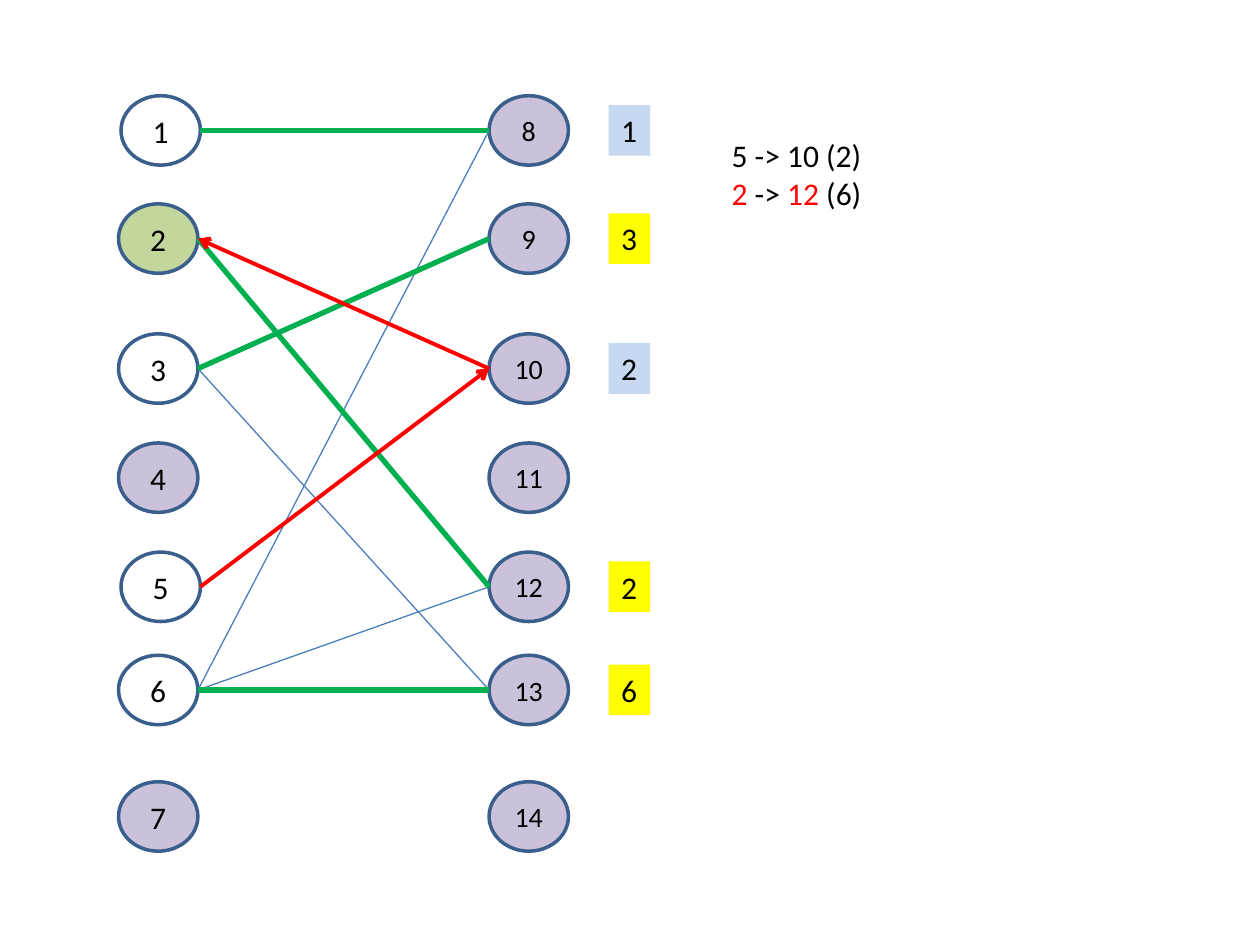
from lxml.etree import SubElement
from pptx import Presentation
from pptx.dml.color import RGBColor
from pptx.enum.shapes import MSO_CONNECTOR as Connector, MSO_SHAPE as Shape
from pptx.enum.text import MSO_ANCHOR as Anchor, MSO_AUTO_SIZE as AutoSize, PP_ALIGN as Align
from pptx.oxml.ns import qn
from pptx.util import Cm, Pt

WHITE = RGBColor(0xFF, 0xFF, 0xFF)
BLACK = RGBColor(0x00, 0x00, 0x00)
LILAC = RGBColor(0xCC, 0xC1, 0xDA)
OLIVE = RGBColor(0xC3, 0xD6, 0x9B)
OUTLINE = RGBColor(0x3A, 0x5F, 0x8C)
BLUE = RGBColor(0x4B, 0x7E, 0xBC)
GREEN = RGBColor(0x00, 0xB0, 0x50)
RED = RGBColor(0xFF, 0x00, 0x00)
PALE_BLUE = RGBColor(0xC6, 0xD9, 0xF1)
YELLOW = RGBColor(0xFF, 0xFF, 0x00)

NODE_WIDTH, NODE_HEIGHT = 1.6, 1.4
TAG_WIDTH, TAG_HEIGHT = 0.84, 1.02
COLUMN_GAP = 7.47  # from the left node column to the right one
ROW_TOPS = [0, 2.18, 4.8, 7, 9.2, 11.28, 13.83]

NODE_FILLS = {1: WHITE, 2: OLIVE, 3: WHITE, 5: WHITE, 6: WHITE}
INDENTS = {1: 0.05, 5: 0.05}
POSSIBLE_EDGES = [(1, 8), (2, 10), (3, 13), (5, 10), (6, 8), (6, 12)]
MATCHED_EDGES = [(1, 8), (2, 12), (3, 9), (6, 13)]
PATH_EDGES = [(5, 10), (10, 2)]
TAGS = {8: ("1", PALE_BLUE), 9: ("3", YELLOW), 10: ("2", PALE_BLUE),
        12: ("2", YELLOW), 13: ("6", YELLOW)}


def write(paragraph, text, size=18, color=BLACK, align=Align.LEFT):
    paragraph.alignment = align
    run = paragraph.add_run()
    run.text = text
    run.font.name = "Calibri"
    run.font.size = Pt(size)
    run.font.color.rgb = color


def add_node(slide, number, left, top):
    shape = slide.shapes.add_shape(Shape.OVAL, Cm(left), Cm(top), Cm(NODE_WIDTH), Cm(NODE_HEIGHT))
    shape.shadow.inherit = False
    shape.fill.solid()
    shape.fill.fore_color.rgb = NODE_FILLS.get(number, LILAC)
    shape.line.color.rgb = OUTLINE
    shape.line.width = Pt(2)
    shape.text_frame.vertical_anchor = Anchor.MIDDLE
    write(shape.text_frame.paragraphs[0], str(number),
          size=18 if number <= 7 else 16, align=Align.CENTER)


def add_edge(slide, start, end, color, width, arrow=False):
    edge = slide.shapes.add_connector(Connector.STRAIGHT, *map(Cm, start + end))
    edge.line.color.rgb = color
    edge.line.width = Pt(width)
    if arrow:
        SubElement(edge.line._get_or_add_ln(), qn("a:tailEnd"), type="arrow")
    SubElement(edge._element.spPr, qn("a:effectLst"))


def add_graph(slide, left, top):
    """Two columns of nodes, joined at their facing sides."""
    ports = {}
    for number in range(1, 15):
        column, row = divmod(number - 1, 7)
        node_left = left + column * COLUMN_GAP + INDENTS.get(number, 0)
        node_top = top + ROW_TOPS[row]
        add_node(slide, number, node_left, node_top)
        facing_side = node_left if column else node_left + NODE_WIDTH
        ports[number] = (facing_side, node_top + NODE_HEIGHT / 2)

    for edges, color, width, arrow in [
        (POSSIBLE_EDGES, BLUE, 0.75, False),
        (MATCHED_EDGES, GREEN, 3, False),
        (PATH_EDGES, RED, 2.25, True),
    ]:
        for start, end in edges:
            add_edge(slide, ports[start], ports[end], color, width, arrow)


def add_tags(slide, left, top):
    """Partner numbers, centred on the rows of the right nodes."""
    for number, (text, fill) in TAGS.items():
        tag_top = top + ROW_TOPS[number - 8] + (NODE_HEIGHT - TAG_HEIGHT) / 2
        tag = slide.shapes.add_textbox(Cm(left), Cm(tag_top), Cm(TAG_WIDTH), Cm(TAG_HEIGHT))
        tag.fill.solid()
        tag.fill.fore_color.rgb = fill
        tag.text_frame.word_wrap = False
        tag.text_frame.auto_size = AutoSize.SHAPE_TO_FIT_TEXT
        write(tag.text_frame.paragraphs[0], text)


def add_steps(slide, left, top, width, height):
    """Search steps, with the current one partly in red."""
    frame = slide.shapes.add_textbox(Cm(left), Cm(top), Cm(width), Cm(height)).text_frame
    frame.word_wrap = False
    frame.auto_size = AutoSize.SHAPE_TO_FIT_TEXT
    write(frame.paragraphs[0], "5 -> 10 (2)")
    current = frame.add_paragraph()
    for text, color in [("2", RED), (" -> ", BLACK), ("12", RED), (" (6)", BLACK)]:
        write(current, text, color=color)


def main():
    presentation = Presentation()
    presentation.slide_width, presentation.slide_height = Cm(25.4), Cm(19.05)
    slide = presentation.slides.add_slide(presentation.slide_layouts[6])
    add_graph(slide, left=2.39, top=1.93)
    add_tags(slide, left=12.27, top=1.93)
    add_steps(slide, left=14.5, top=2.62, width=3.18, height=1.8)
    presentation.save("out.pptx")


if __name__ == "__main__":
    main()
